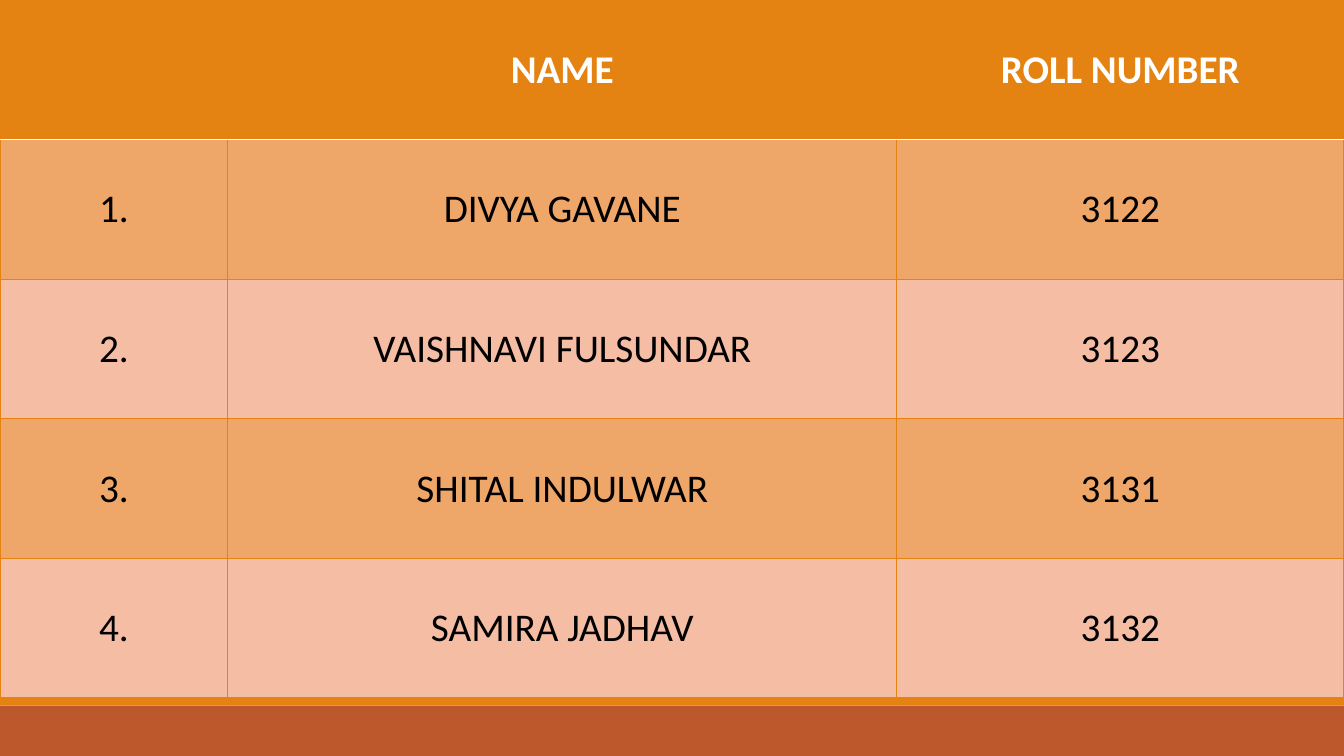
import pptx
import pptx.dml.color
import pptx.enum.shapes
import pptx.enum.text
import pptx.oxml
import pptx.oxml.ns
import pptx.util

# Content
ROWS = [
    ("", "NAME", "ROLL NUMBER"),
    ("1.", "DIVYA GAVANE", "3122"),
    ("2.", "VAISHNAVI FULSUNDAR", "3123"),
    ("3.", "SHITAL INDULWAR", "3131"),
    ("4.", "SAMIRA JADHAV", "3132"),
]

# Layout in px, 96 to the inch
EMU_PER_PX = 9525
SLIDE_WIDTH, SLIDE_HEIGHT = 1280, 720
COLUMN_WIDTHS = [217, 637, 426]
ROW_HEIGHT = 133
TABLE_HEIGHT = ROW_HEIGHT * len(ROWS)
FOOTER_TOP = 672

ORANGE, RUST, WHITE, BLACK = "E48312", "BD582C", "FFFFFF", "000000"
BAND_FILLS = ["F5BDA3", "EEA669"]  # even rows, odd rows


def px(length):
    return pptx.util.Emu(length * EMU_PER_PX)


def color(hex_value):
    return pptx.dml.color.RGBColor.from_string(hex_value)


def add_bar(slide, top, bottom, fill):
    bar = slide.shapes.add_shape(
        pptx.enum.shapes.MSO_SHAPE.RECTANGLE,
        px(0), px(top), px(SLIDE_WIDTH), px(bottom - top))
    bar.shadow.inherit = False
    bar.fill.solid()
    bar.fill.fore_color.rgb = color(fill)
    bar.line.fill.background()


def add_border(cell, side, hex_value, points):
    cell._tc.get_or_add_tcPr().append(pptx.oxml.parse_xml(
        f'<a:ln{side} {pptx.oxml.ns.nsdecls("a")} w="{pptx.util.Pt(points)}">'
        f'<a:solidFill><a:srgbClr val="{hex_value}"/></a:solidFill></a:ln{side}>'))


def format_cell(cell, row_index, text):
    is_header = row_index == 0
    # Borders come before the fill; a white rule lies under the header
    for side in "LRTB":
        under_header = (row_index, side) in [(0, "B"), (1, "T")]
        add_border(cell, side, *((WHITE, 1.25) if under_header else (ORANGE, 1)))
    cell.fill.solid()
    cell.fill.fore_color.rgb = color(ORANGE if is_header else BAND_FILLS[row_index % 2])
    cell.vertical_anchor = pptx.enum.text.MSO_ANCHOR.MIDDLE
    cell.text = text
    paragraph = cell.text_frame.paragraphs[0]
    paragraph.alignment = pptx.enum.text.PP_ALIGN.CENTER
    paragraph.font.name = "Calibri"
    paragraph.font.size = pptx.util.Pt(28)
    paragraph.font.bold = is_header
    paragraph.font.color.rgb = color(WHITE if is_header else BLACK)


def main():
    presentation = pptx.Presentation()
    presentation.slide_width = px(SLIDE_WIDTH)
    presentation.slide_height = px(SLIDE_HEIGHT)
    slide = presentation.slides.add_slide(presentation.slide_layouts[6])

    # Footer bars
    add_bar(slide, FOOTER_TOP, SLIDE_HEIGHT, RUST)
    add_bar(slide, TABLE_HEIGHT, FOOTER_TOP, ORANGE)

    # Roll number table
    table = slide.shapes.add_table(
        len(ROWS), len(COLUMN_WIDTHS),
        px(0), px(0), px(SLIDE_WIDTH), px(TABLE_HEIGHT)).table
    for column, width in zip(table.columns, COLUMN_WIDTHS):
        column.width = px(width)
    for row_index, texts in enumerate(ROWS):
        table.rows[row_index].height = px(ROW_HEIGHT)
        for column_index, text in enumerate(texts):
            format_cell(table.cell(row_index, column_index), row_index, text)

    presentation.save("out.pptx")


if __name__ == "__main__":
    main()
